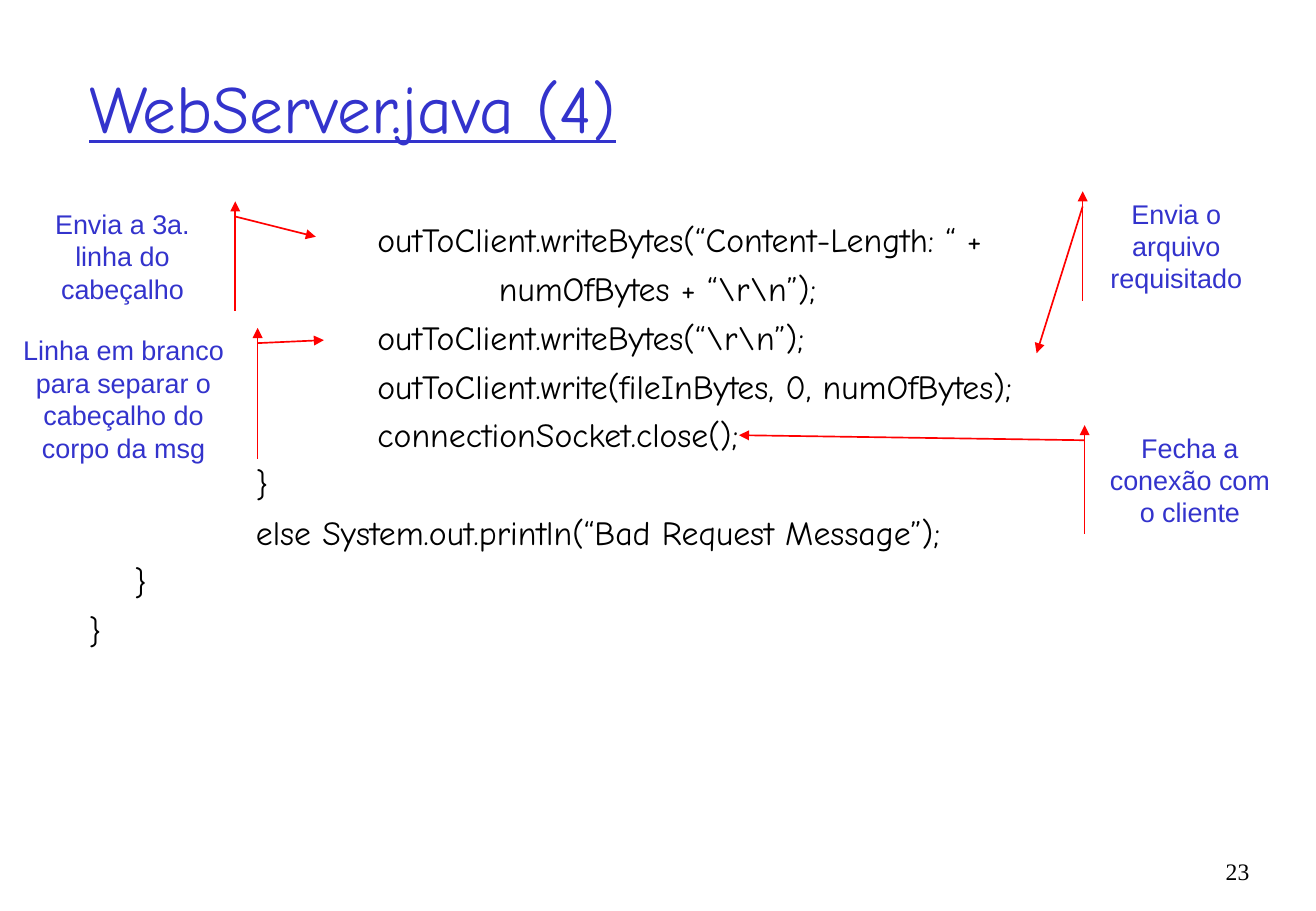
import pptx
import pptx.dml.color
import pptx.enum.text
import pptx.oxml
import pptx.oxml.ns
import pptx.util

# The slide is a grid of 130 columns by 90 rows, twelve to the inch
COLUMNS, ROWS = 130, 90
CELL = pptx.util.Inches(1) // 12
INDENT = 4.5
TAB_STEP = 12
BLUE, RED, BLACK = "3333CC", "FF0000", "000000"
ALIGN = pptx.enum.text.PP_ALIGN
ANCHOR = pptx.enum.text.MSO_ANCHOR

CODE = [
    "\t\t\toutToClient.writeBytes(“Content-Length: “ +",
    "\t\t\t\tnumOfBytes + “\\r\\n”);",
    "\t\t\toutToClient.writeBytes(“\\r\\n”);",
    "\t\t\toutToClient.write(fileInBytes, 0, numOfBytes);",
    "\t\t\tconnectionSocket.close();",
    "\t\t}",
    "\t\telse System.out.println(“Bad Request Message”);",
    "\t}",
    "}",
]

# Text, box (column, row, width, height), bar side, arrow tip
CALLOUTS = [
    ("Envia a 3a. linha do cabeçalho", (2, 19.9, 20.2, 10.8), "right", (31.2, 23.4)),
    ("Linha em branco para separar o cabeçalho do corpo da msg",
     (0, 32.4, 24.4, 12.9), "right", (32, 33.6)),
    ("Envia o arquivo requisitado", (108, 18.9, 16.4, 10.8), "left", (102.4, 34.9)),
    ("Fecha a conexão com o cliente", (108.2, 42, 18.7, 10.8), "left", (73, 43)),
]


def grid(*cells):
    return [round(cell * CELL) for cell in cells]


def color(value):
    return pptx.dml.color.RGBColor.from_string(value)


def set_font(paragraph, name, size, value):
    paragraph.font.name = name
    paragraph.font.size = pptx.util.Pt(size)
    paragraph.font.color.rgb = color(value)


def element(tag, **attributes):
    node = pptx.oxml.parse_xml(f"<a:{tag} {pptx.oxml.ns.nsdecls('a')}/>")
    for name, value in attributes.items():
        node.set(name, str(value))
    return node


def add_text(slide, box, text):
    frame = slide.shapes.add_textbox(*grid(*box)).text_frame
    frame.word_wrap = True
    frame.text = text
    return frame


def add_title(slide, box, text):
    title = slide.shapes.title
    title.left, title.top, title.width, title.height = grid(*box)
    frame = title.text_frame
    frame.text = text
    frame.vertical_anchor = ANCHOR.MIDDLE
    paragraph = frame.paragraphs[0]
    paragraph.alignment = ALIGN.LEFT
    set_font(paragraph, "Comic Neue", 40, BLUE)
    paragraph.font.underline = True


def add_code(slide, box, lines):
    frame = add_text(slide, box, "\n".join(lines))
    indent, tab_step = grid(INDENT, TAB_STEP)
    for number, paragraph in enumerate(frame.paragraphs):
        if number:
            paragraph.space_before = pptx.util.Pt(5)
        # Hanging indent with evenly spaced tab stops
        properties = paragraph._p.get_or_add_pPr()
        properties.set("marL", str(indent))
        properties.set("indent", str(-indent))
        properties.set("defTabSz", str(tab_step))
        set_font(paragraph, "Comic Neue", 20, BLACK)


def add_stroke(outline, box, start, end):
    """Add an open line to the outline of a shape that fills the box."""
    left, top, width, height = box
    width, height = grid(width, height)
    stroke = element("path", w=width, h=height, fill="none")
    for tag, (column, row) in (("moveTo", start), ("lnTo", end)):
        x, y = grid(column - left, row - top)
        step = element(tag)
        step.append(element("pt", x=x, y=y))
        stroke.append(step)
    outline.append(stroke)


def add_callout(slide, text, box, side, tip):
    left, top, width, height = box
    right, bottom = left + width, top + height
    builder = slide.shapes.build_freeform(*grid(left, top))
    corners = [(right, top), (right, bottom), (left, bottom)]
    builder.add_line_segments([grid(*corner) for corner in corners], close=True)
    shape = builder.convert_to_shape()
    shape.shadow.inherit = False
    shape.fill.background()
    shape.line.color.rgb = color(RED)
    shape.line.width = pptx.util.Pt(1)
    shape.line._get_or_add_ln().append(element("headEnd", type="triangle"))

    # Unstroked text area, arrow to the code, and bar beside the text
    area = next(shape._element.iter(pptx.oxml.ns.qn("a:path")))
    area.set("stroke", "0")
    outline = area.getparent()
    bar = right + 1.05 if side == "right" else left - 1.05
    add_stroke(outline, box, tip, (bar, top + 1.5))
    add_stroke(outline, box, (bar, top), (bar, bottom))

    frame = shape.text_frame
    frame.word_wrap = True
    frame.vertical_anchor = ANCHOR.TOP
    frame.text = text
    paragraph = frame.paragraphs[0]
    paragraph.alignment = ALIGN.CENTER
    set_font(paragraph, "Arial", 16, BLUE)


def add_page_number(slide, box, text):
    paragraph = add_text(slide, box, text).paragraphs[0]
    paragraph.alignment = ALIGN.RIGHT
    set_font(paragraph, "Times New Roman", 14, BLACK)


def main():
    presentation = pptx.Presentation()
    presentation.slide_width, presentation.slide_height = grid(COLUMNS, ROWS)
    slide = presentation.slides.add_slide(presentation.slide_layouts[5])
    add_title(slide, (7.6, 3, 110.4, 15), "WebServer.java (4)")
    add_code(slide, (7.6, 21, 110.4, 61), CODE)
    for callout in CALLOUTS:
        add_callout(slide, *callout)
    add_page_number(slide, (118.1, 84.1, 6.5, 5.9), "23")
    presentation.save("out.pptx")


if __name__ == "__main__":
    main()
